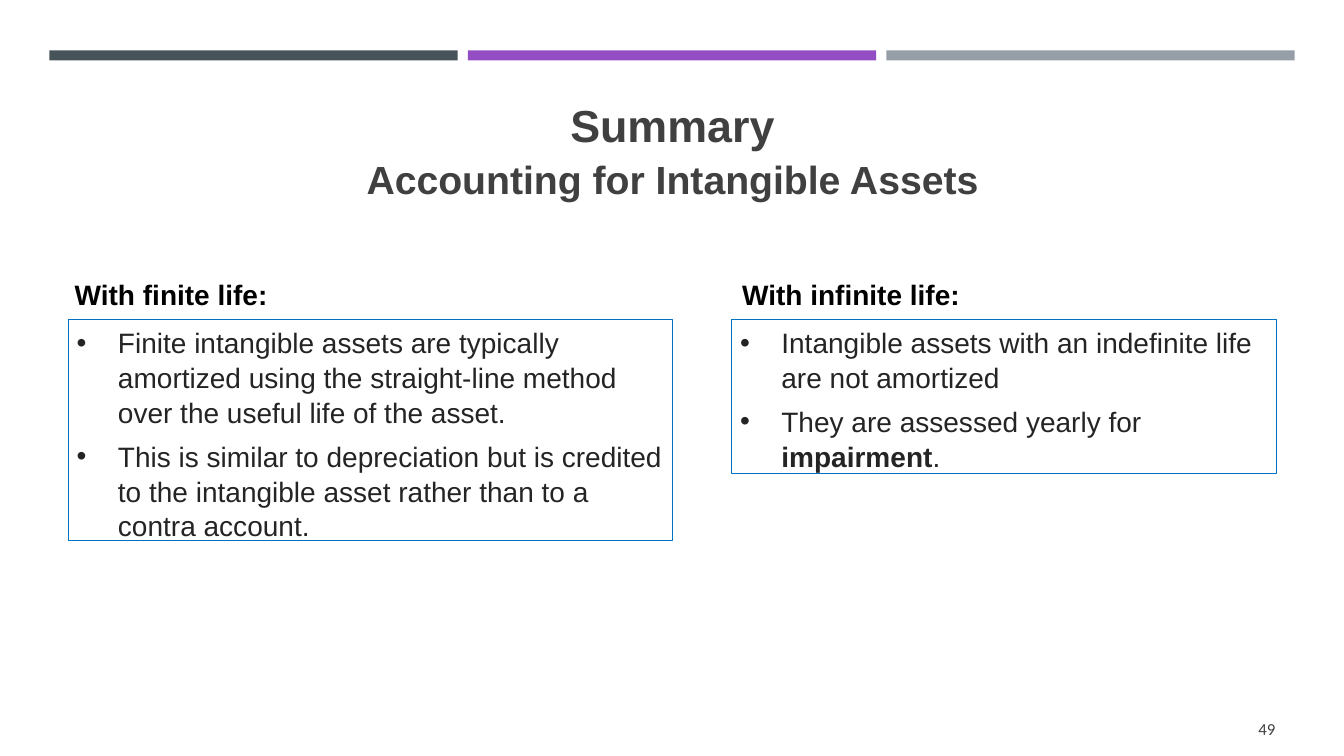
"""Build the summary slide on accounting for intangible assets."""
from pptx import Presentation
from pptx.dml.color import RGBColor
from pptx.enum.shapes import MSO_SHAPE
from pptx.enum.text import MSO_ANCHOR, MSO_AUTO_SIZE, PP_ALIGN
from pptx.util import Inches, Pt

COLORS = {"slate": "465359", "purple": "944DC3", "gray": "969FA7",
          "title": "404040", "head": "000000", "body": "242424", "edge": "0070C0"}
TITLE = "Summary\vAccounting for Intangible Assets"
TITLE_SIZES = (32, 28)
STRONG = "impairment"
COLUMNS = [
    {"head": "With finite life:", "head_box": (0.69, 2.69, 2.02, 0.43),
     "list_box": (0.68, 3.17, 5.99, 2.19),
     "points": ["Finite intangible assets are typically amortized using the "
                "straight-line method over the useful life of the asset.",
                "This is similar to depreciation but is credited to the "
                "intangible asset rather than to a contra account."]},
    {"head": "With infinite life:", "head_box": (7.31, 2.69, 2.27, 0.43),
     "list_box": (7.26, 3.17, 5.4, 1.53),
     "points": ["Intangible assets with an indefinite life are not amortized",
                "They are assessed yearly for impairment."]},
]
PAGE = "49"


def color(name):
    return RGBColor.from_string(COLORS[name])


def place(shape, box):
    shape.left, shape.top, shape.width, shape.height = map(Inches, box)


def frame(shape, anchor=MSO_ANCHOR.TOP, wrap=True):
    text = shape.text_frame
    text.auto_size = MSO_AUTO_SIZE.NONE
    text.word_wrap = wrap
    text.vertical_anchor = anchor
    text.margin_left = text.margin_right = Inches(0.05)
    text.margin_top = text.margin_bottom = Inches(0.05)
    return text


def style(run, size, tone, bold=False, face="Arial"):
    run.font.name = face
    run.font.size = Pt(size)
    run.font.bold = bold
    run.font.color.rgb = color(tone)


def space(para, before=0, line=1.04):
    para.space_before = Pt(before)
    para.line_spacing = line


def add_bars(slide):
    for i, tone in enumerate(("slate", "purple", "gray")):
        bar = slide.shapes.add_shape(
            MSO_SHAPE.RECTANGLE, Inches(0.49 + 4.15 * i), Inches(0.5),
            Inches(4.05), Inches(0.1))
        bar.shadow.inherit = False
        bar.fill.solid()
        bar.fill.fore_color.rgb = color(tone)
        bar.line.fill.background()


def fill_title(shape):
    place(shape, (0.64, 0.82, 12.06, 1.3))
    text = frame(shape, MSO_ANCHOR.MIDDLE)
    text.text = TITLE
    para = text.paragraphs[0]
    para.alignment = PP_ALIGN.CENTER
    space(para, line=1.08)
    for run, size in zip(para.runs, TITLE_SIZES):
        style(run, size, "title", True)


def fill_head(shape, column):
    place(shape, column["head_box"])
    text = frame(shape, wrap=False)
    text.text = column["head"]
    space(text.paragraphs[0])
    style(text.paragraphs[0].runs[0], 20, "head", True)


def fill_list(shape, column):
    place(shape, column["list_box"])
    shape.line.color.rgb = color("edge")
    shape.line.width = Pt(0.75)
    text = frame(shape)
    for i, point in enumerate(column["points"]):
        para = text.add_paragraph() if i else text.paragraphs[0]
        props = para._p.get_or_add_pPr()
        props.set("marL", str(Inches(0.44)))
        props.set("indent", str(Inches(-0.41)))
        space(para, 6 if i else 0)
        for part in point.partition(STRONG):
            if part:
                run = para.add_run()
                run.text = part
                style(run, 20, "body", part == STRONG)


def add_page(slide):
    box = slide.shapes.add_textbox(*map(Inches, (12.4, 7.08, 0.3, 0.29)))
    text = frame(box, MSO_ANCHOR.MIDDLE)
    text.text = PAGE
    text.paragraphs[0].alignment = PP_ALIGN.RIGHT
    style(text.paragraphs[0].runs[0], 12, "title", face="Calibri")


def main():
    deck = Presentation()
    deck.slide_width, deck.slide_height = Inches(13.33), Inches(7.5)
    slide = deck.slides.add_slide(deck.slide_layouts.get_by_name("Comparison"))
    add_bars(slide)
    fill_title(slide.shapes.title)
    slots = {slot.placeholder_format.idx: slot for slot in slide.placeholders}
    for i, column in enumerate(COLUMNS):
        fill_head(slots[2 * i + 1], column)
        fill_list(slots[2 * i + 2], column)
    add_page(slide)
    deck.save("out.pptx")


if __name__ == "__main__":
    main()
